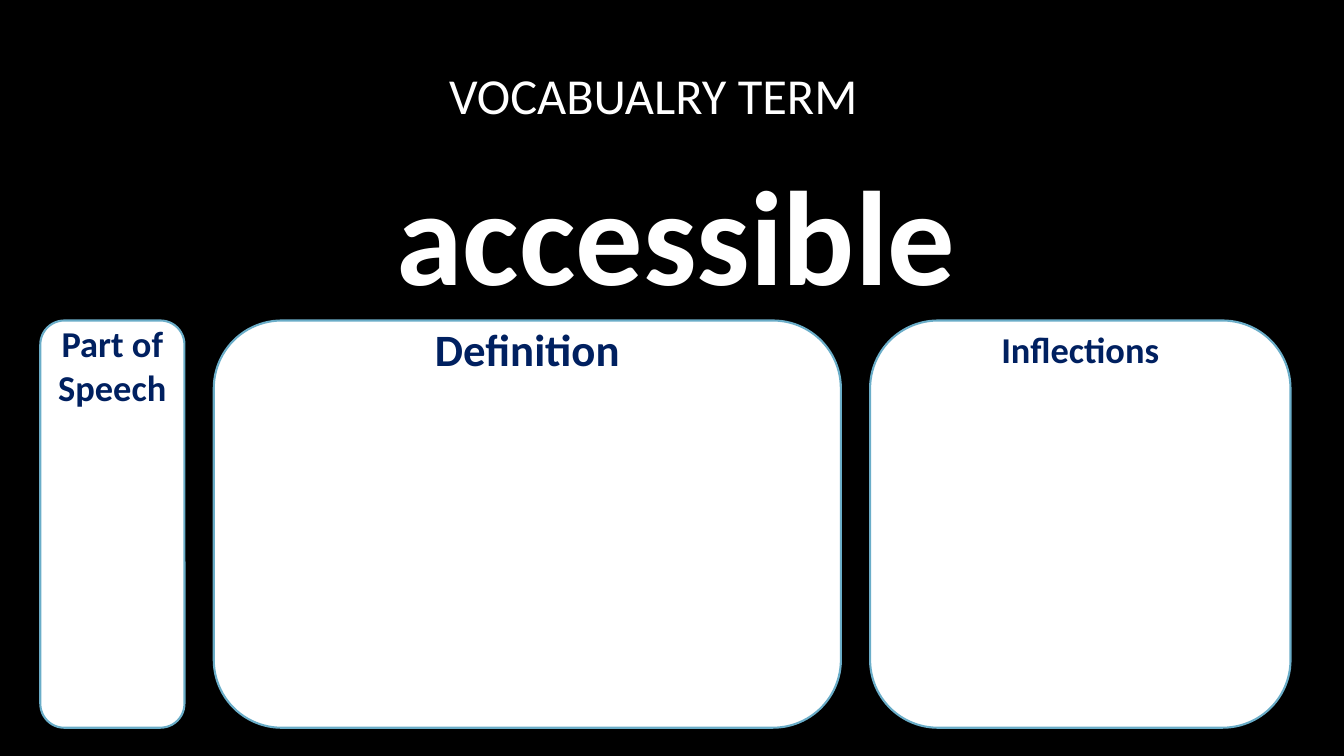
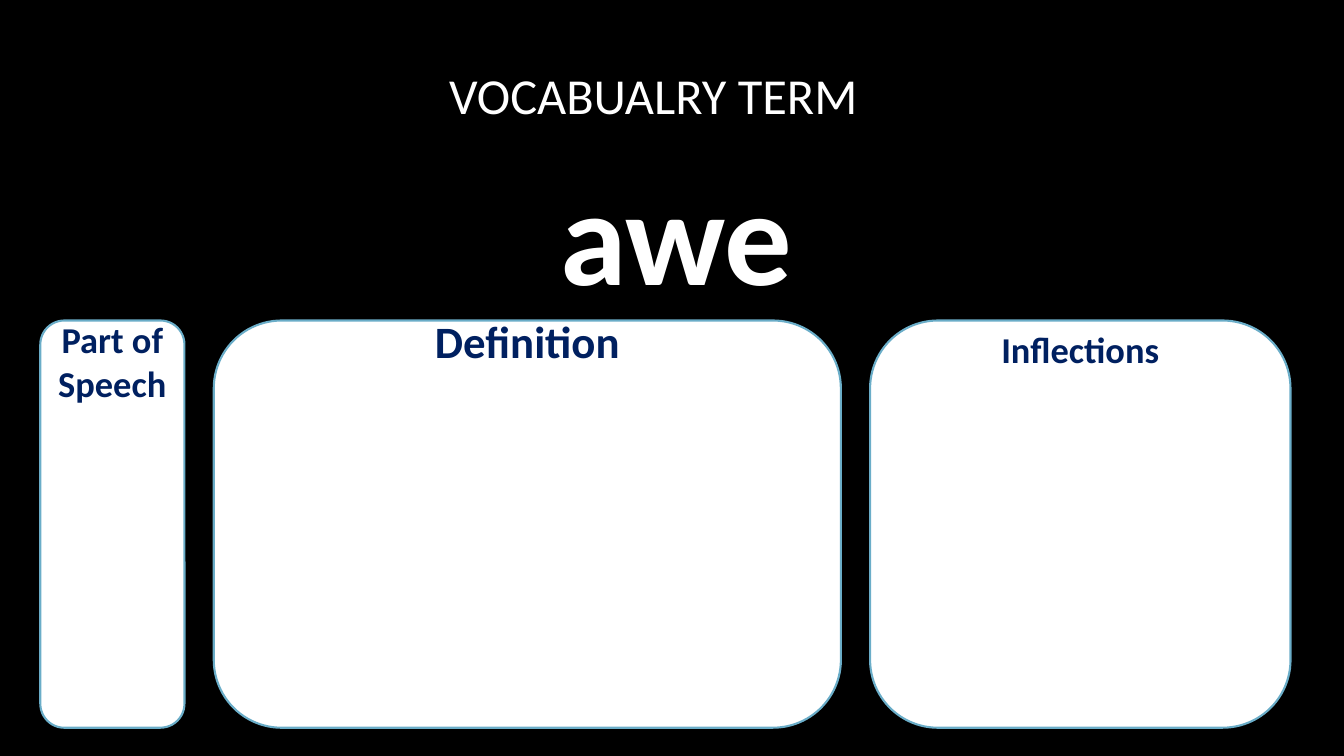
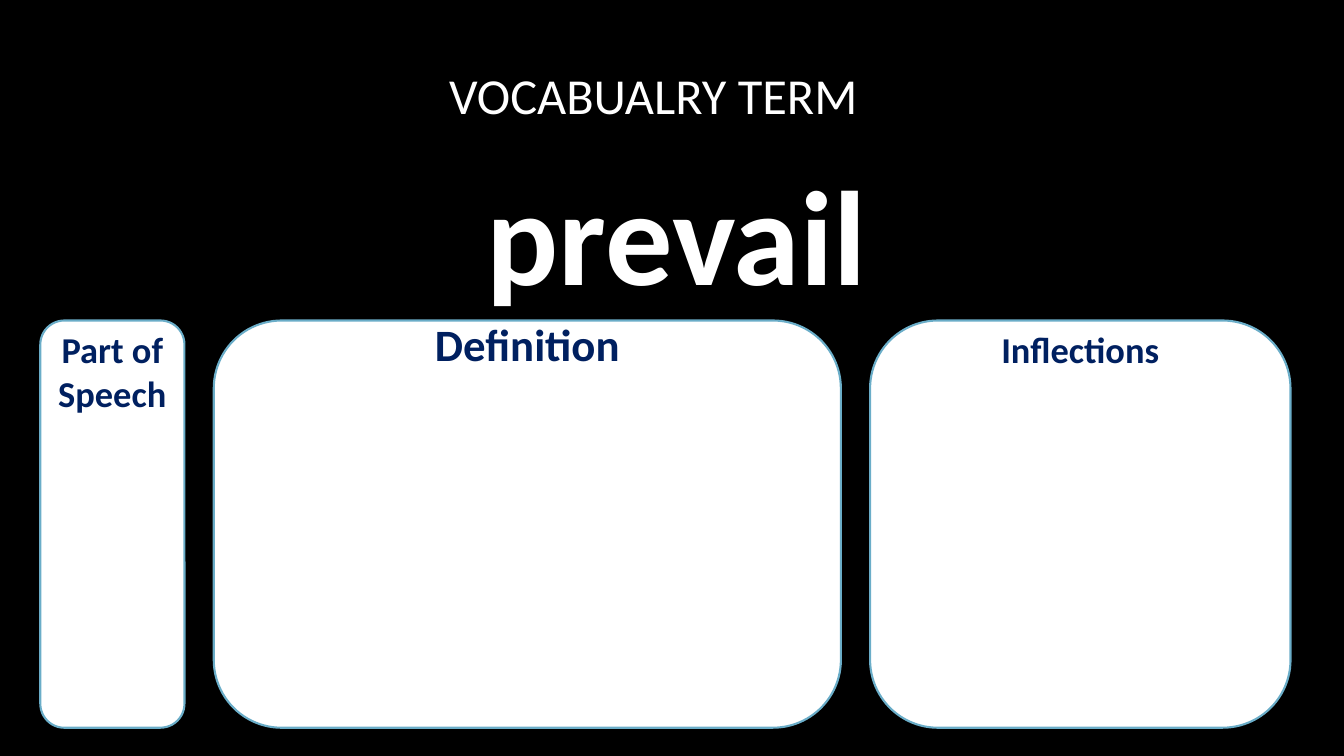
from pptx import Presentation
from pptx.dml.color import RGBColor
from pptx.enum.shapes import MSO_SHAPE
from pptx.enum.text import MSO_ANCHOR, PP_ALIGN
from pptx.util import Inches, Pt

# Shared style
FONT = "Calibri"
BLACK, WHITE, NAVY, SKY = "000000", "FFFFFF", "002060", "6AADC8"

# Panel row: heading, width, heading size
PANELS = [
    ("Part of Speech", 1.43, 26),
    ("Definition", 6.22, 32),
    ("Inflections", 4.17, 26),
]
PANEL_LEFT, PANEL_TOP, PANEL_HEIGHT, PANEL_GAP = 0.4, 3.18, 4.04, 0.29

# Each term with the tops of its three panel headings
TERMS = [
    ("accessible", (3.19, 3.19, 3.25)),
    ("awe", (3.15, 3.11, 3.25)),
    ("prevail", (3.25, 3.14, 3.25)),
]


def color(value):
    return RGBColor.from_string(value)


def add_text(page, text, left, top, width, height, size, ink,
             bold=False, anchor=MSO_ANCHOR.MIDDLE):
    box = page.shapes.add_textbox(
        Inches(left), Inches(top), Inches(width), Inches(height))
    frame = box.text_frame
    frame.word_wrap = True
    frame.vertical_anchor = anchor
    frame.margin_top = frame.margin_bottom = 0
    para = frame.paragraphs[0]
    para.text = text
    para.alignment = PP_ALIGN.CENTER
    para.font.name = FONT
    para.font.size = Pt(size)
    para.font.bold = bold
    para.font.color.rgb = color(ink)


def add_panel(page, left, width):
    panel = page.shapes.add_shape(
        MSO_SHAPE.ROUNDED_RECTANGLE, Inches(left), Inches(PANEL_TOP),
        Inches(width), Inches(PANEL_HEIGHT))
    panel.shadow.inherit = False
    panel.fill.solid()
    panel.fill.fore_color.rgb = color(WHITE)
    panel.line.color.rgb = color(SKY)
    panel.line.width = Pt(1.5)


def add_term_page(deck, term, heading_tops):
    page = deck.slides.add_slide(deck.slide_layouts[6])
    page.background.fill.solid()
    page.background.fill.fore_color.rgb = color(BLACK)

    # Title and term
    add_text(page, "VOCABUALRY TERM", 0.94, 0.46, 11.08, 0.96, 36, WHITE)
    add_text(page, term, 1.17, 1.42, 11.08, 1.76, 96, WHITE, bold=True)

    # Panels from left to right
    left = PANEL_LEFT
    for (heading, width, size), top in zip(PANELS, heading_tops):
        add_panel(page, left, width)
        add_text(page, heading, left, top, width, 1, size, NAVY,
                 bold=True, anchor=MSO_ANCHOR.TOP)
        left += width + PANEL_GAP


def main():
    deck = Presentation()
    deck.slide_width, deck.slide_height = Inches(13.33), Inches(7.5)
    for term, heading_tops in TERMS:
        add_term_page(deck, term, heading_tops)
    deck.save("out.pptx")


if __name__ == "__main__":
    main()
